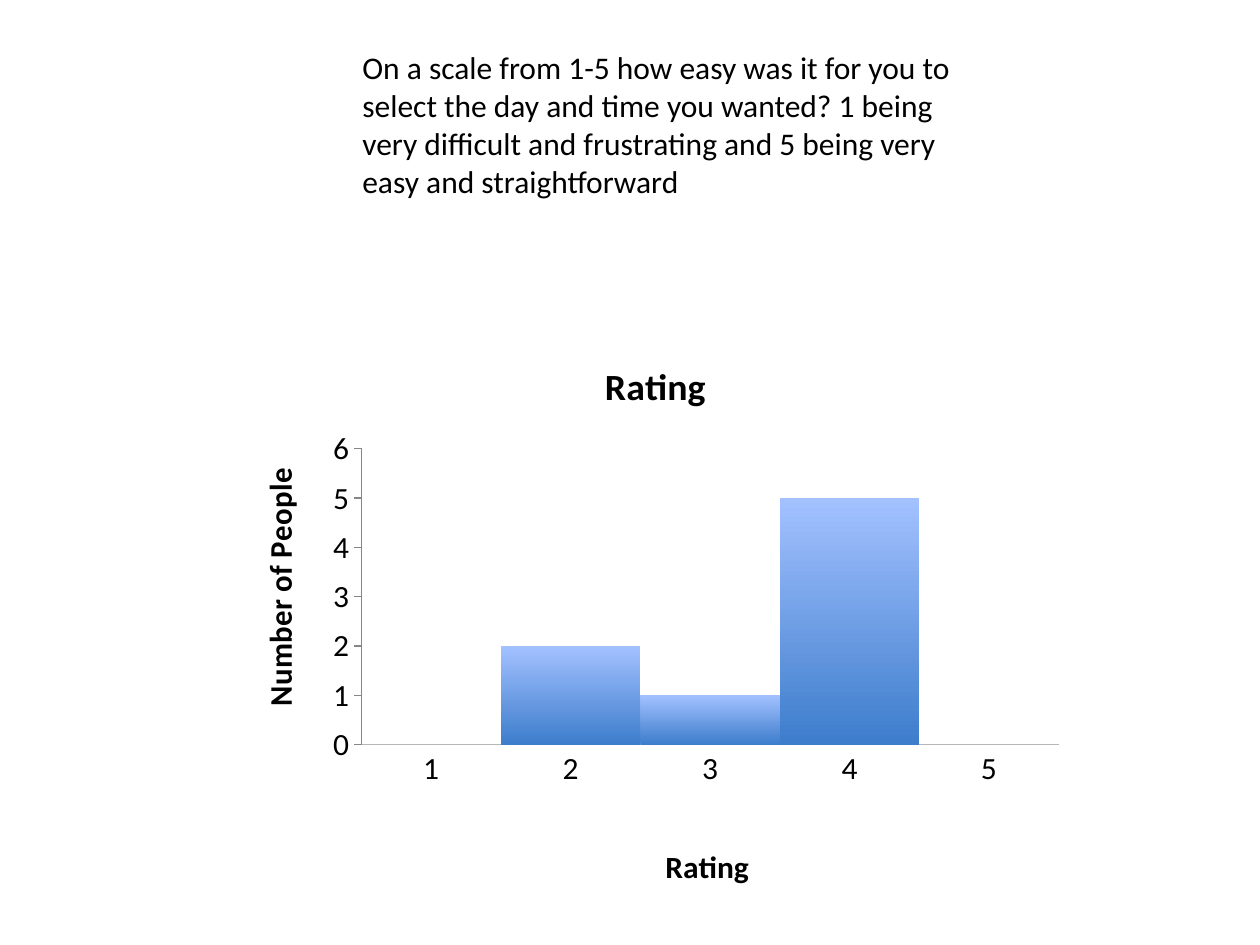
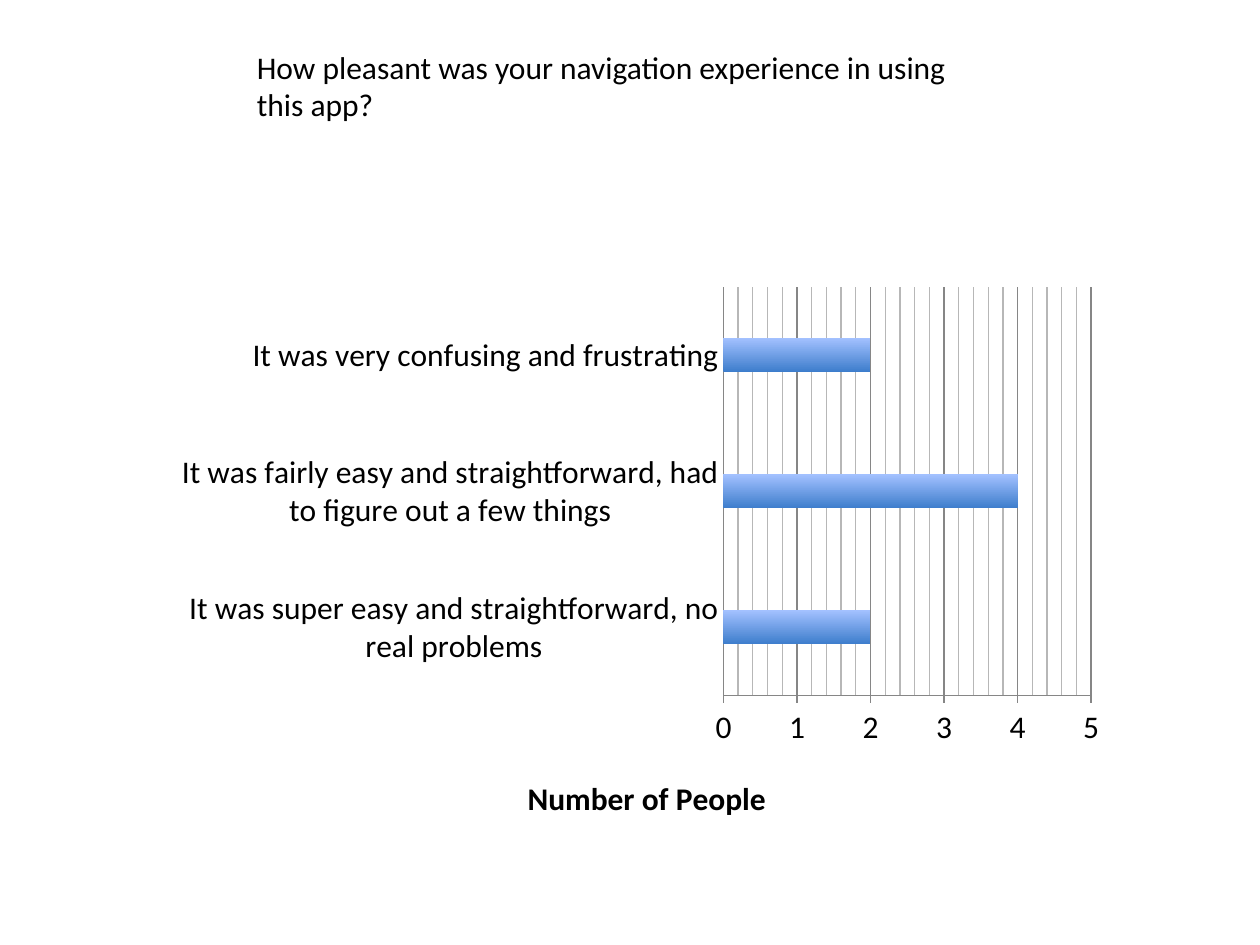
from lxml import etree
from pptx import Presentation
from pptx.chart.data import CategoryChartData
from pptx.dml.color import RGBColor
from pptx.enum.chart import XL_CHART_TYPE, XL_TICK_MARK
from pptx.enum.text import MSO_AUTO_SIZE
from pptx.oxml.ns import qn
from pptx.util import Pt

FONT = "Calibri"
BLACK = RGBColor(0x00, 0x00, 0x00)
AXIS_GREY = RGBColor(0x86, 0x86, 0x86)
MINOR_GREY = RGBColor(0xB7, 0xB7, 0xB7)
BAR_LIGHT = RGBColor(0xA3, 0xC1, 0xFF)
BAR_DARK = RGBColor(0x3D, 0x7D, 0xCC)


def write_text(tf, text, size=18, bold=False, color=BLACK):
    r = tf.paragraphs[0].add_run()
    r.text = text
    r.font.name = FONT
    r.font.size = Pt(size)
    r.font.bold = bold
    r.font.color.rgb = color


def add_question(slide, text, left, top, width, height):
    tf = slide.shapes.add_textbox(Pt(left), Pt(top), Pt(width), Pt(height)).text_frame
    tf.word_wrap = True
    tf.auto_size = MSO_AUTO_SIZE.SHAPE_TO_FIT_TEXT
    write_text(tf, text)


def set_layout(element, index, **values):
    """Place a chart part by hand, in fractions of the chart area."""
    for old in element.findall(qn("c:layout")):
        element.remove(old)
    layout = etree.Element(qn("c:layout"))
    element.insert(index, layout)
    manual = etree.SubElement(layout, qn("c:manualLayout"))
    if "w" in values:
        etree.SubElement(manual, qn("c:layoutTarget")).set("val", "inner")
    for mode in ("xMode", "yMode"):
        etree.SubElement(manual, qn(f"c:{mode}")).set("val", "edge")
    for name, value in values.items():
        etree.SubElement(manual, qn(f"c:{name}")).set("val", str(value))


def add_axis_title(axis, text, x, y):
    title = axis.axis_title
    write_text(title.text_frame, text, bold=True)
    set_layout(title._element, 1, x=x, y=y)


def style_line(line, color=AXIS_GREY):
    line.color.rgb = color
    line.width = Pt(0.75)


def style_axes(chart, maximum):
    category, value = chart.category_axis, chart.value_axis
    category.major_tick_mark = XL_TICK_MARK.NONE
    value.major_tick_mark = XL_TICK_MARK.OUTSIDE
    value.minimum_scale, value.maximum_scale, value.major_unit = 0, maximum, 1
    value.has_major_gridlines = False
    for axis in (category, value):
        axis.minor_tick_mark = XL_TICK_MARK.NONE
        style_line(axis.format.line)


def add_gridlines(axis):
    axis.has_major_gridlines = axis.has_minor_gridlines = True
    axis.minor_unit = 0.2
    style_line(axis.major_gridlines.format.line)
    # Minor gridlines have no public format object.
    minor = axis._element.find(qn("c:minorGridlines"))
    sp_pr = etree.SubElement(minor, qn("c:spPr"))
    line = etree.SubElement(sp_pr, qn("a:ln"), w=str(Pt(0.75)))
    fill = etree.SubElement(line, qn("a:solidFill"))
    etree.SubElement(fill, qn("a:srgbClr"), val=str(MINOR_GREY))


def add_rating_chart(slide, kind, name, answers, box, gap, maximum, plot_area):
    """Add a one-series chart of {answer: number of people}."""
    data = CategoryChartData()
    data.categories = list(answers)
    data.add_series(name, list(answers.values()))
    chart = slide.shapes.add_chart(kind, *map(Pt, box), data).chart
    chart.has_legend = False
    chart.has_title = False
    chart.font.name = FONT
    chart.font.size = Pt(18)
    chart.font.color.rgb = BLACK
    plot = chart.plots[0]
    plot.gap_width = gap
    plot.vary_by_categories = False
    fill = plot.series[0].format.fill
    fill.gradient()
    fill.gradient_angle = 90
    for stop, color in zip(fill.gradient_stops, (BAR_DARK, BAR_LIGHT)):
        stop.color.rgb = color
    style_axes(chart, maximum)
    set_layout(chart._chartSpace.chart.plotArea, 0, **plot_area)
    return chart


def add_scheduling_slide(prs):
    slide = prs.slides.add_slide(prs.slide_layouts[6])
    add_question(slide, "On a scale from 1-5 how easy was it for you to select the day "
                 "and time you wanted? 1 being very difficult and frustrating and 5 "
                 "being very easy and straightforward", 200, 24, 360, 94)
    chart = add_rating_chart(
        slide, XL_CHART_TYPE.COLUMN_CLUSTERED, "Rating",
        {"1": 0, "2": 2, "3": 1, "4": 5, "5": 0},
        box=(134.6, 192, 480, 320), gap=0, maximum=6,
        plot_area={"x": 0.15, "y": 0.206, "w": 0.83, "h": 0.54})
    chart.has_title = True
    write_text(chart.chart_title.text_frame, "Rating", size=21.6, bold=True)
    add_axis_title(chart.category_axis, "Rating", 0.505, 0.92)
    add_axis_title(chart.value_axis, "Number of People", 0.02, 0.24)
    style_line(chart.category_axis.format.line, MINOR_GREY)


def add_navigation_slide(prs):
    slide = prs.slides.add_slide(prs.slide_layouts[6])
    add_question(slide, "How pleasant was your navigation experience in using this app?",
                 139.7, 23.7, 432.7, 51)
    chart = add_rating_chart(
        slide, XL_CHART_TYPE.BAR_CLUSTERED, "Series 1",
        {"It was super easy and straightforward, no real problems": 2,
         "It was fairly easy and straightforward, had to figure out a few things": 4,
         "It was very confusing and frustrating": 2},
        box=(93.6, 157.7, 545.8, 319.7), gap=300, maximum=5,
        plot_area={"x": 0.586, "y": 0.02, "w": 0.385, "h": 0.73})
    add_gridlines(chart.value_axis)
    add_axis_title(chart.value_axis, "Number of People", 0.375, 0.885)


def main():
    prs = Presentation()
    prs.slide_width, prs.slide_height = Pt(720), Pt(540)
    add_scheduling_slide(prs)
    add_navigation_slide(prs)
    prs.save("out.pptx")


if __name__ == "__main__":
    main()
